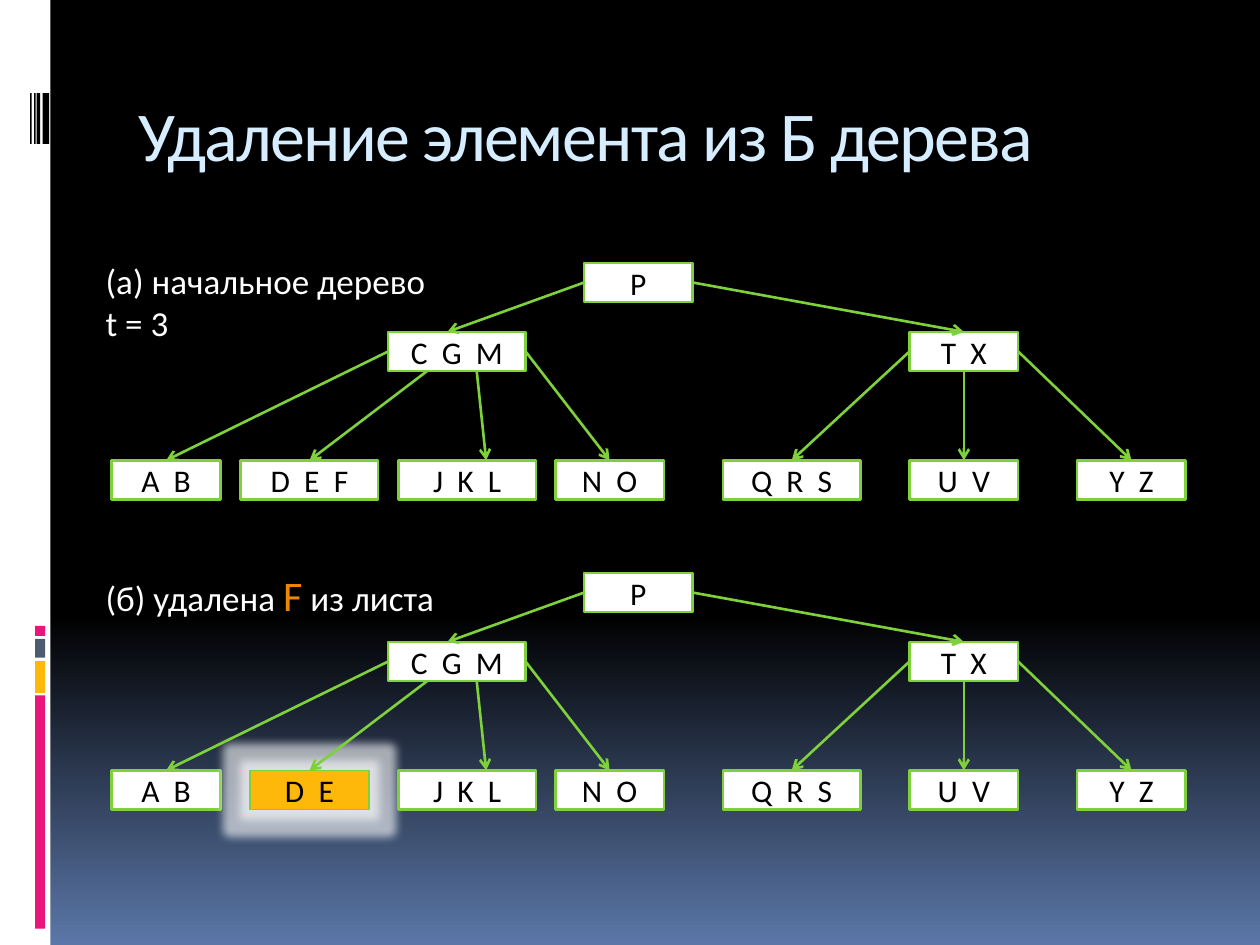
import pptx
import pptx.dml.color
import pptx.enum.shapes
import pptx.enum.text
import pptx.oxml
import pptx.util
from pptx.oxml.ns import nsdecls, qn
from pptx.util import Cm, Pt

# Content
TITLE = "Удаление элемента из Б дерева"
GREEN, AMBER, ORANGE, PINK = "7FD13B", "FEB80A", "EB8803", "EA157A"
BLACK, WHITE = "000000", "FFFFFF"

# Node: keys, centre, row
ROWS = [5.3, 6.69, 9.28]
NODES = [
    ("P", 12.87, 0), ("C  G  M", 9.21, 1), ("T  X", 19.43, 1),
    ("A  B", 3.35, 2), ("D  E  F", 6.24, 2), ("J  K  L", 9.42, 2),
    ("N  O", 12.29, 2), ("Q  R  S", 15.96, 2), ("U  V", 19.43, 2),
    ("Y  Z", 22.81, 2),
]
# Edge: parent, side it leaves, shift along that side, child, shift along its top
TOP, LEFT, BOTTOM, RIGHT = range(4)
EDGES = [
    ("P", LEFT, 0, "C  G  M", -0.19), ("P", RIGHT, 0, "T  X", 0),
    ("C  G  M", LEFT, 0, "A  B", 0), ("C  G  M", BOTTOM, -0.6, "D  E  F", 0),
    ("C  G  M", BOTTOM, 0.4, "J  K  L", 0.38), ("C  G  M", RIGHT, 0, "N  O", 0),
    ("T  X", LEFT, 0, "Q  R  S", 0), ("T  X", BOTTOM, 0, "U  V", 0),
    ("T  X", RIGHT, 0, "Y  Z", 0),
]
# Tree: vertical shift, changed leaves, caption box, caption lines of (text, size, colour)
TREES = [
    (0, {}, (1.88, 5.1, 6.96, 1.96),
     [[("(а) начальное дерево", 20, WHITE)], [("t = 3", 20, WHITE)]]),
    (6.25, {"D  E  F": "D  E"}, (1.88, 11.36, 7.47, 1.27),
     [[("(б) удалена ", 20, WHITE), ("F", 24, ORANGE), (" из листа", 20, WHITE)]]),
]
NODE_HEIGHT = 0.79
WIDE, NARROW, CHANGED = 2.77, 2.19, 2.39

# Side strip: left, top, width, height, colour
STRIP = [
    (0, 0, 1.02, 19.05, WHITE),
    (0.71, 14.02, 0.2, 4.7, PINK), (0.71, 13.33, 0.2, 0.64, AMBER),
    (0.71, 12.88, 0.2, 0.38, "4E5B6F"), (0.71, 12.62, 0.2, 0.2, PINK),
    (0.86, 1.88, 0.13, 1.02, BLACK), (0.74, 1.88, 0.07, 1.02, BLACK),
    (0.69, 1.88, 0.03, 1.02, BLACK), (0.61, 1.88, 0.03, 1.02, BLACK),
]


def rgb(hex_color):
    return pptx.dml.color.RGBColor.from_string(hex_color)


def write(paragraph, text, size=18, color=BLACK, align="LEFT", spacing=None):
    paragraph.alignment = getattr(pptx.enum.text.PP_ALIGN, align)
    run = paragraph.add_run()
    run.text = text
    run.font.name = "Calibri"
    run.font.size = Pt(size)
    run.font.color.rgb = rgb(color)
    if spacing is not None:
        run.font._element.set("spc", str(spacing))


def add_box(shapes, left, top, width, height, fill, line=None, line_width=1.5):
    box = shapes.add_shape(pptx.enum.shapes.MSO_SHAPE.RECTANGLE,
                           Cm(left), Cm(top), Cm(width), Cm(height))
    box.shadow.inherit = False
    box.fill.solid()
    box.fill.fore_color.rgb = rgb(fill)
    if line:
        box.line.color.rgb = rgb(line)
        box.line.width = Pt(line_width)
    else:
        box.line.fill.background()
    return box


def add_glow(box):
    effects = box._element.spPr.find(qn("a:effectLst"))
    effects.append(pptx.oxml.parse_xml(
        f'<a:glow {nsdecls("a")} rad="130000"><a:srgbClr val="{WHITE}">'
        '<a:alpha val="60000"/></a:srgbClr></a:glow>'))


def add_node(shapes, keys, center, top, changed):
    if changed:
        width, fill, line_width = CHANGED, AMBER, 0.94
    else:
        width, fill, line_width = (WIDE if len(keys.split()) == 3 else NARROW), WHITE, 1.5
    node = add_box(shapes, center - width / 2, top, width, NODE_HEIGHT,
                   fill, GREEN, line_width)
    if changed:
        add_glow(node)
    frame = node.text_frame
    frame.margin_top = frame.margin_bottom = 0
    frame.vertical_anchor = pptx.enum.text.MSO_ANCHOR.MIDDLE
    write(frame.paragraphs[0], keys, align="CENTER")
    return node


def add_edge(shapes, parent, side, start_shift, child, end_shift):
    start_x = parent.left + parent.width // 2 + Cm(start_shift)
    end_x = child.left + child.width // 2 + Cm(end_shift)
    edge = shapes.add_connector(pptx.enum.shapes.MSO_CONNECTOR.STRAIGHT,
                                start_x, parent.top + parent.height, end_x, child.top)
    if not start_shift:
        edge.begin_connect(parent, side)
    if not end_shift:
        edge.end_connect(child, TOP)
    edge.line.color.rgb = rgb(GREEN)
    edge.line.width = Pt(1.5)
    edge.line._get_or_add_ln().append(
        pptx.oxml.parse_xml(f'<a:tailEnd {nsdecls("a")} type="arrow"/>'))
    edge._element.spPr.append(pptx.oxml.parse_xml(f'<a:effectLst {nsdecls("a")}/>'))


def add_caption(shapes, area, lines):
    caption = shapes.add_textbox(*map(Cm, area))
    frame = caption.text_frame
    frame.word_wrap = False
    for number, line in enumerate(lines):
        paragraph = frame.add_paragraph() if number else frame.paragraphs[0]
        for text, size, color in line:
            write(paragraph, text, size=size, color=color)


def main():
    deck = pptx.Presentation()
    deck.slide_width, deck.slide_height = Cm(25.4), Cm(19.05)
    slide = deck.slides.add_slide(deck.slide_layouts[5])

    # Background
    backdrop = slide.background.fill
    backdrop.gradient()
    backdrop.gradient_angle = 270
    for stop, position, color in zip(backdrop.gradient_stops, (0.65, 1), (BLACK, "5B77A8")):
        stop.position = position
        stop.color.rgb = rgb(color)

    # Side strip
    for *area, color in STRIP:
        add_box(slide.shapes, *area, color)

    # Trees
    for shift, changes, caption_area, caption_lines in TREES:
        tree = slide.shapes.add_group_shape().shapes
        nodes = {keys: add_node(tree, changes.get(keys, keys), center,
                                ROWS[row] + shift, keys in changes)
                 for keys, center, row in NODES}
        for parent, side, start_shift, child, end_shift in EDGES:
            add_edge(tree, nodes[parent], side, start_shift, nodes[child], end_shift)
        add_caption(tree, caption_area, caption_lines)

    # Title
    title = slide.shapes.title
    title.left, title.top, title.width, title.height = map(Cm, (2.54, 1.42, 21.59, 2.54))
    title.text_frame.auto_size = pptx.enum.text.MSO_AUTO_SIZE.NONE
    title.text_frame.vertical_anchor = pptx.enum.text.MSO_ANCHOR.MIDDLE
    write(title.text_frame.paragraphs[0], TITLE, size=40, color="D6ECFF", spacing=-100)

    deck.save("out.pptx")


if __name__ == "__main__":
    main()
